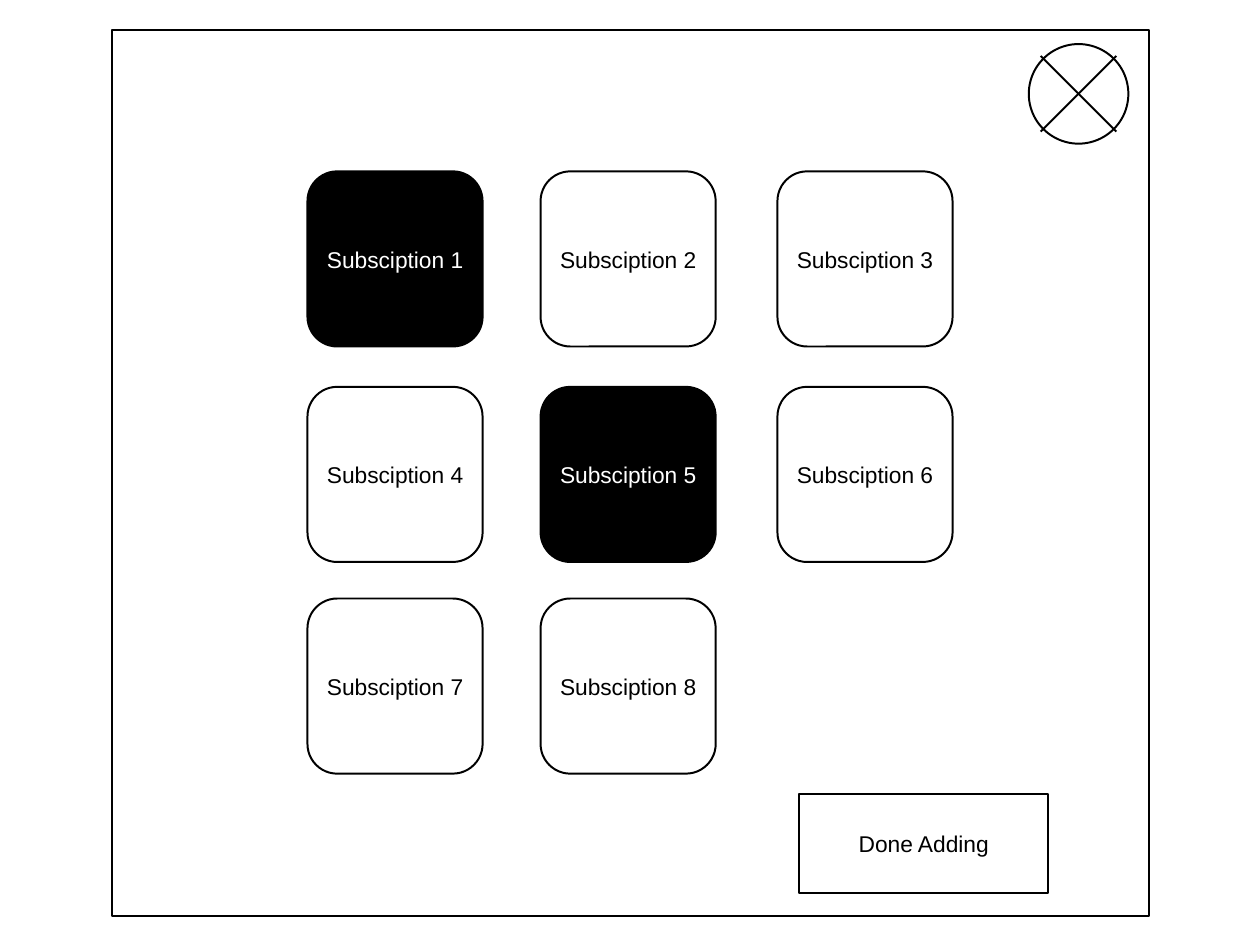
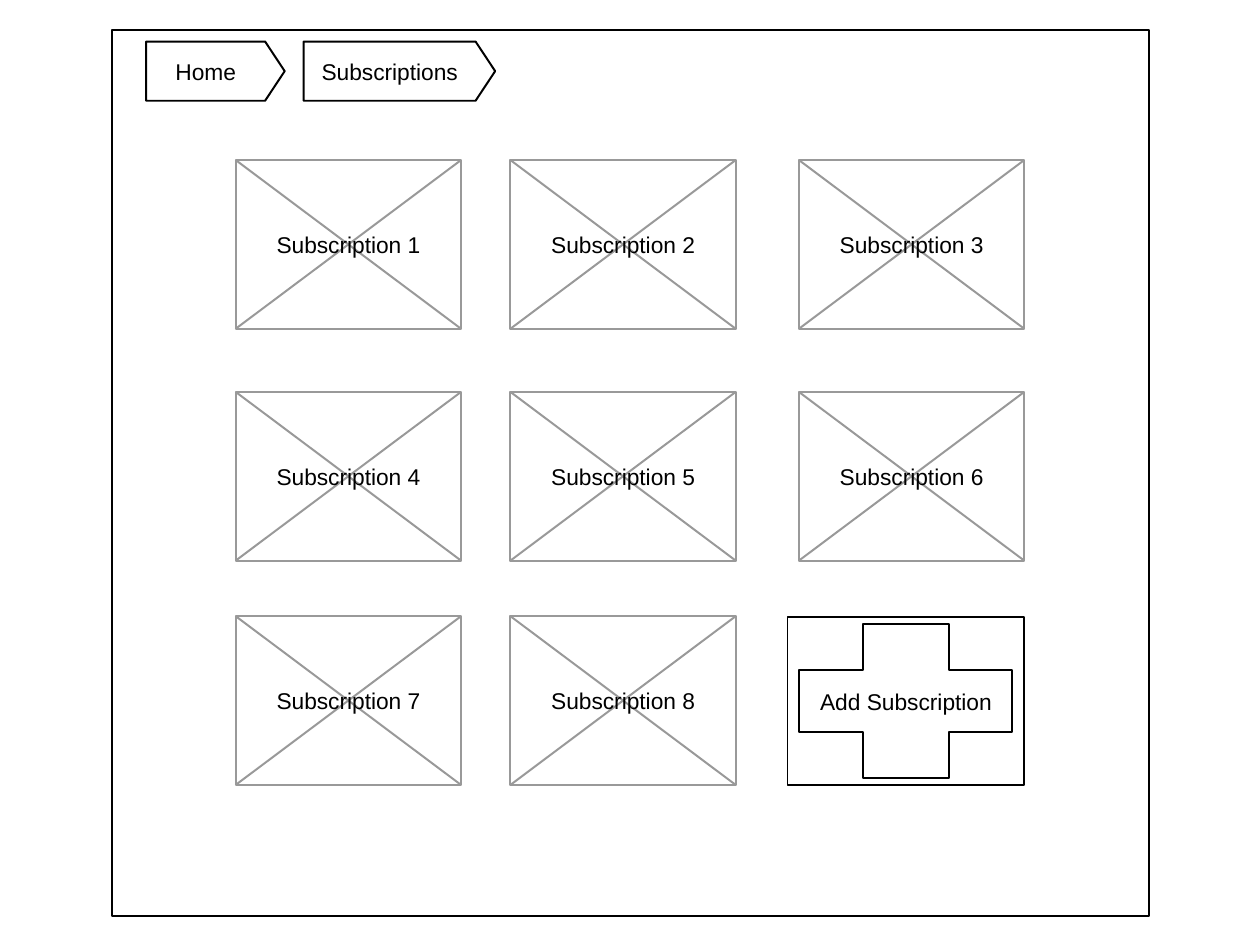
from dataclasses import dataclass

from pptx import Presentation
from pptx.dml.color import RGBColor
from pptx.enum.shapes import MSO_CONNECTOR, MSO_SHAPE
from pptx.enum.text import MSO_ANCHOR, MSO_AUTO_SIZE, PP_ALIGN
from pptx.oxml.ns import qn
from pptx.util import Inches, Pt
from lxml import etree

RECTANGLE = MSO_SHAPE.RECTANGLE
ROUNDED = MSO_SHAPE.ROUNDED_RECTANGLE
PENTAGON = MSO_SHAPE.PENTAGON
OVAL = MSO_SHAPE.OVAL
STRAIGHT = MSO_CONNECTOR.STRAIGHT
MIDDLE = MSO_ANCHOR.MIDDLE
GROW = MSO_AUTO_SIZE.SHAPE_TO_FIT_TEXT
CENTER = PP_ALIGN.CENTER

# The slide is a grid of 100 columns by 75 rows of square units
SLIDE_WIDTH, SLIDE_HEIGHT = Inches(10), Inches(7.5)
UNIT = SLIDE_WIDTH / 100

BLACK, WHITE, GREY = "000000", "FFFFFF", "999999"
FONT, TEXT_SIZE, LABEL_HEIGHT = "Arial", 13, 2.2
LINE_WIDTH = 1.13


@dataclass
class Box:
    """A region in grid units."""
    x: float
    y: float
    w: float
    h: float

    def place(self, x, y, w, h):
        return Box(self.x + x, self.y + y, w, h)

    def inset(self, dx, dy):
        return self.place(dx, dy, self.w - 2 * dx, self.h - 2 * dy)

    def emu(self):
        return [units(v) for v in (self.x, self.y, self.w, self.h)]


FRAME = Box(8.9, 2.4, 82.3, 70.3)


def units(value):
    return round(value * UNIT)


def color(hex_code):
    return RGBColor.from_string(hex_code)


def style(shape, fill=WHITE, line=BLACK):
    shape.shadow.inherit = False
    shape.fill.solid()
    shape.fill.fore_color.rgb = color(fill)
    shape.line.color.rgb = color(line)
    shape.line.width = Pt(LINE_WIDTH)
    return shape


def outline(slide, kind, box, fill=WHITE, line=BLACK):
    return style(slide.shapes.add_shape(kind, *box.emu()), fill, line)


def diagonals(slide, box, line=BLACK):
    left, right = units(box.x), units(box.x + box.w)
    top, bottom = units(box.y), units(box.y + box.h)
    for start, end in ((left, right), (right, left)):
        stroke = slide.shapes.add_connector(STRAIGHT, start, top, end, bottom)
        stroke.line.color.rgb = color(line)
        stroke.line.width = Pt(LINE_WIDTH)
        etree.SubElement(stroke._element.spPr, qn("a:effectLst"))


def label(slide, box, text, ink=BLACK):
    """One centred line across the middle of the box."""
    line_box = box.inset(0.15, (box.h - LABEL_HEIGHT) / 2)
    frame = slide.shapes.add_textbox(*line_box.emu()).text_frame
    frame.margin_left = frame.margin_right = 0
    frame.margin_top = frame.margin_bottom = 0
    frame.word_wrap = True
    frame.auto_size = GROW
    frame.vertical_anchor = MIDDLE
    paragraph = frame.paragraphs[0]
    paragraph.alignment = CENTER
    run = paragraph.add_run()
    run.text = text
    run.font.name = FONT
    run.font.size = Pt(TEXT_SIZE)
    run.font.color.rgb = color(ink)


def grid(area, columns, rows, width, height, count):
    """Number the first cells of a grid, row by row."""
    cells = [area.place(x, y, width, height) for y in rows for x in columns]
    return enumerate(cells[:count], start=1)


def choice_tile(slide, box, text, selected):
    fill, ink = (BLACK, WHITE) if selected else (WHITE, BLACK)
    tile = outline(slide, ROUNDED, box, fill)
    tile.adjustments[0] = 0.17
    label(slide, box, text, ink)


def close_button(slide, box):
    outline(slide, OVAL, box)
    diagonals(slide, box.inset(0.12 * box.w, 0.12 * box.h))


def breadcrumb(slide, box, text):
    tip = 0.33
    crumb = outline(slide, PENTAGON, box)
    crumb.adjustments[0] = tip
    label(slide, box.place(0, 0, box.w - tip * box.h, box.h), text)


def subscription_card(slide, box, text):
    outline(slide, RECTANGLE, box, line=GREY)
    diagonals(slide, box, GREY)
    label(slide, box, text)


def add_card(slide, box, text):
    outline(slide, RECTANGLE, box)
    plus = box.inset(0.95, 0.55)
    near, far = 0.3, 0.7
    corners = [(1, near), (far, near), (far, 0), (near, 0), (near, near),
               (0, near), (0, far), (near, far), (near, 1), (far, 1),
               (far, far), (1, far)]
    points = [(units(plus.x + x * plus.w), units(plus.y + y * plus.h))
              for x, y in corners]
    builder = slide.shapes.build_freeform(*points[0])
    builder.add_line_segments(points[1:], close=True)
    style(builder.convert_to_shape())
    label(slide, plus, text)


def new_screen(deck):
    slide = deck.slides.add_slide(deck.slide_layouts[6])
    outline(slide, RECTANGLE, FRAME)
    return slide


def choose_screen(deck, area):
    slide = new_screen(deck)
    # Tiles to pick from
    columns, rows = (15.5, 34, 52.8), (11.2, 28.3, 45.1)
    for number, cell in grid(area, columns, rows, 13.9, 13.9, 8):
        choice_tile(slide, cell, f"Subsciption {number}", number in (1, 5))
    # Buttons
    done = area.place(54.5, 60.6, 19.8, 7.9)
    outline(slide, RECTANGLE, done)
    label(slide, done, "Done Adding")
    close_button(slide, area.place(72.75, 1.1, 7.9, 7.9))


def overview_screen(deck, area):
    slide = new_screen(deck)
    # Breadcrumbs
    for text, x, width in (("Home", 2.7, 11), ("Subscriptions", 15.2, 15.2)):
        breadcrumb(slide, area.place(x, 0.9, width, 4.7), text)
    # Current subscriptions
    columns, rows = (9.8, 31.6, 54.5), (10.3, 28.7, 46.5)
    for number, cell in grid(area, columns, rows, 17.9, 13.4, 8):
        subscription_card(slide, cell, f"Subscription {number}")
    # Last cell adds another
    add_card(slide, area.place(53.6, 46.6, 18.8, 13.3), "Add Subscription")


def main():
    deck = Presentation()
    deck.slide_width, deck.slide_height = SLIDE_WIDTH, SLIDE_HEIGHT
    choose_screen(deck, FRAME)
    overview_screen(deck, FRAME)
    deck.save("out.pptx")


if __name__ == "__main__":
    main()
